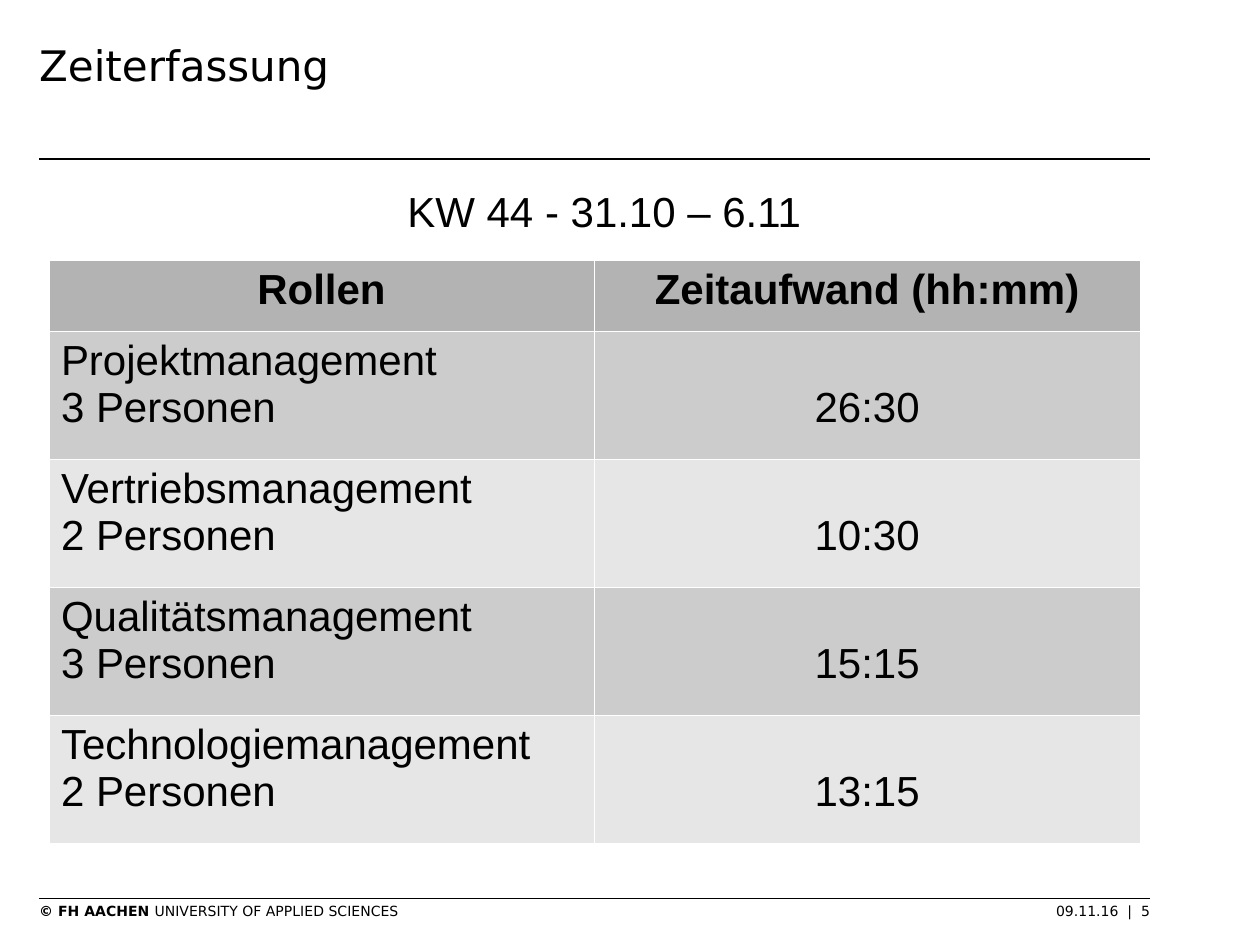
from dataclasses import dataclass

from lxml import etree
from pptx import Presentation
from pptx.dml.color import RGBColor
from pptx.enum.shapes import MSO_CONNECTOR
from pptx.enum.text import MSO_ANCHOR, MSO_AUTO_SIZE, PP_ALIGN
from pptx.oxml.ns import qn
from pptx.util import Cm, Pt

LEFT, MID = PP_ALIGN.LEFT, PP_ALIGN.CENTER
TOP = MSO_ANCHOR.TOP
FIXED = MSO_AUTO_SIZE.NONE
LINE = MSO_CONNECTOR.STRAIGHT
TITLE_ONLY = 5


@dataclass
class Theme:
    ink: str = "000000"
    edge: str = "FFFFFF"
    head: str = "B3B3B3"
    bands: tuple = ("CCCCCC", "E6E6E6")
    sans: str = "DejaVu Sans"
    body: str = "Arial"
    big: int = 24
    small: int = 8
    rule: float = 1
    hair: float = 0.06


def color(code):
    return RGBColor.from_string(code)


def write(frame, text, font, size, ink, bold=False, align=LEFT, tab=None):
    """Fill a frame; text is a string or a list of (text, bold) runs."""
    frame.word_wrap = True
    runs = [(text, bold)] if isinstance(text, str) else text
    lines = [runs]
    if isinstance(text, str):
        lines = [[(part, bold)] for part in text.split("\n")]
    for i, line in enumerate(lines):
        para = frame.add_paragraph() if i else frame.paragraphs[0]
        para.alignment = align
        if tab:
            stops = etree.SubElement(para._p.get_or_add_pPr(), qn("a:tabLst"))
            etree.SubElement(stops, qn("a:tab"), pos=str(tab), algn="r")
        for part, heavy in line:
            run = para.add_run()
            run.text = part
            run.font.name, run.font.size = font, Pt(size)
            run.font.bold = heavy
            run.font.color.rgb = color(ink)


class Page:
    def __init__(self, deck, theme):
        self.theme = theme
        self.slide = deck.slides.add_slide(deck.slide_layouts[TITLE_ONLY])
        self.shapes = self.slide.shapes

    def title(self, text, x, y, w, h):
        box = self.shapes.title
        box.left, box.top, box.width, box.height = Cm(x), Cm(y), Cm(w), Cm(h)
        self.bare(box.text_frame)
        write(box.text_frame, text, self.theme.sans, self.theme.big,
              self.theme.ink)

    def bare(self, frame):
        frame.margin_left = frame.margin_right = 0
        frame.margin_top = frame.margin_bottom = 0
        frame.vertical_anchor = TOP
        frame.auto_size = FIXED

    def rule(self, x, y, w):
        line = self.shapes.add_connector(LINE, Cm(x), Cm(y), Cm(x + w), Cm(y))
        line.line.color.rgb = color(self.theme.ink)
        line.line.width = Pt(self.theme.rule)
        etree.SubElement(line._element.spPr, qn("a:effectLst"))

    def label(self, text, x, y, w, h, bare=False, **style):
        box = self.shapes.add_textbox(Cm(x), Cm(y), Cm(w), Cm(h))
        if bare:
            self.bare(box.text_frame)
        write(box.text_frame, text, ink=self.theme.ink, **style)

    def cell(self, cell, text, fill, drop=0, **style):
        cell.margin_left = cell.margin_right = Cm(0.25)
        cell.margin_top, cell.margin_bottom = Cm(0.13 + drop), Cm(0.13)
        props = cell._tc.get_or_add_tcPr()
        for side in ("lnL", "lnR", "lnT", "lnB"):
            line = etree.SubElement(props, qn("a:" + side),
                                    w=str(Pt(self.theme.hair)))
            paint = etree.SubElement(line, qn("a:solidFill"))
            etree.SubElement(paint, qn("a:srgbClr"), val=self.theme.edge)
        cell.fill.solid()
        cell.fill.fore_color.rgb = color(fill)
        write(cell.text_frame, text, self.theme.body, self.theme.big,
              self.theme.ink, **style)

    def table(self, heads, rows, x, y, w, top, step):
        grid = self.shapes.add_table(len(rows) + 1, len(heads), Cm(x), Cm(y),
                                     Cm(w), Cm(top + step * len(rows))).table
        for col, text in enumerate(heads):
            grid.columns[col].width = Cm(w / len(heads))
            self.cell(grid.cell(0, col), text, self.theme.head,
                      bold=True, align=MID)
        grid.rows[0].height = Cm(top)
        for i, (role, time) in enumerate(rows, 1):
            grid.rows[i].height = Cm(step)
            fill = self.theme.bands[(i - 1) % 2]
            self.cell(grid.cell(i, 0), role, fill)
            # The time sits level with the second line of the role
            self.cell(grid.cell(i, 1), time, fill, drop=0.95, align=MID)


def main():
    theme = Theme()
    deck = Presentation()
    deck.slide_width, deck.slide_height = Cm(25.4), Cm(19.05)
    page = Page(deck, theme)
    edge, span = 0.79, 22.4

    # Frame: rules and footer
    for y in (3.2, 18.11):
        page.rule(edge, y, span)
    page.label([("© FH AACHEN ", True),
                ("UNIVERSITY OF APPLIED SCIENCES\t09.11.16  |  5", False)],
               edge, 18.19, 23, 0.38, bare=True, font=theme.sans,
               size=theme.small, tab=Cm(span))

    # Headings
    page.title("Zeiterfassung", edge, 0.79, span, 2)
    page.label("KW 44 - 31.10 – 6.11 ", 0.2, 3.61, 24.2, 1.2,
               font=theme.body, size=theme.big, align=MID)

    # Hours per role
    page.table(("Rollen", "Zeitaufwand (hh:mm)"),
               [("Projektmanagement\n3 Personen", "26:30"),
                ("Vertriebsmanagement\n2 Personen", "10:30"),
                ("Qualitätsmanagement\n3 Personen", "15:15"),
                ("Technologiemanagement\n2 Personen", "13:15")],
               0.98, 5.24, 22, 1.44, 2.58)
    deck.save("out.pptx")


if __name__ == "__main__":
    main()
